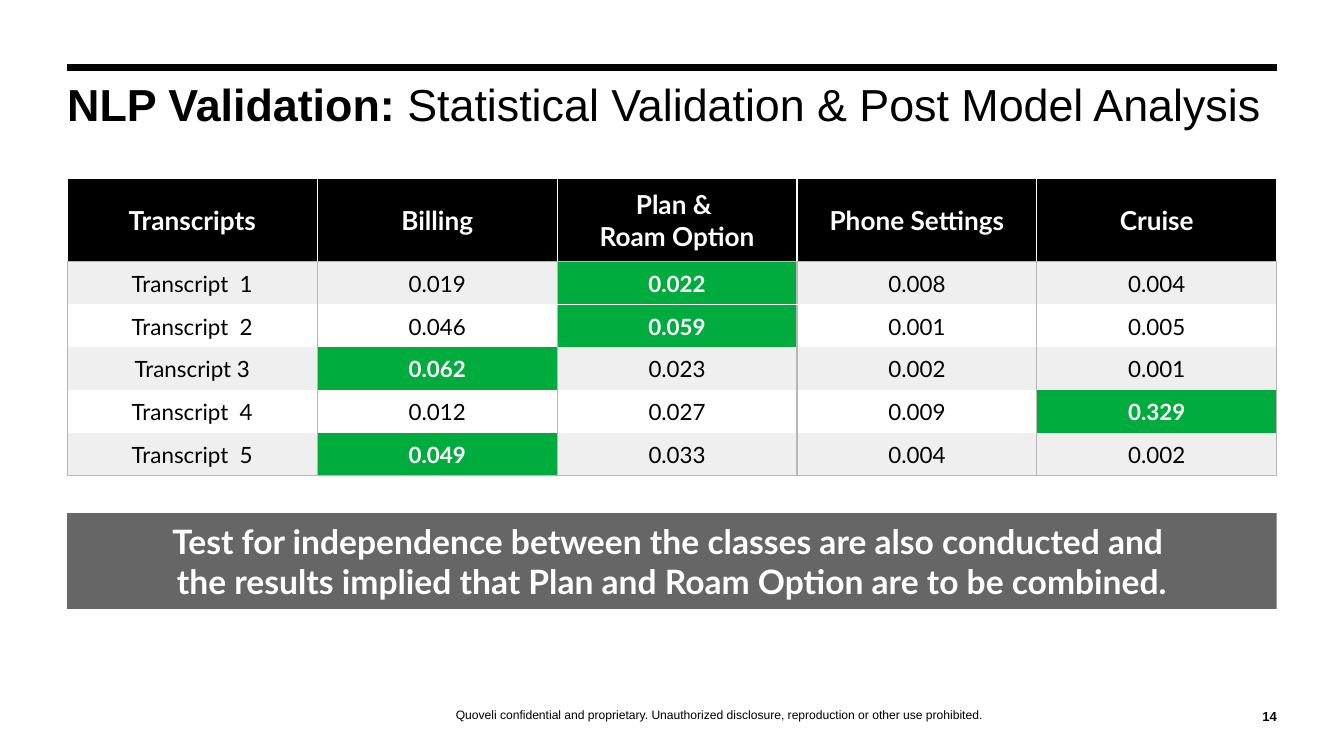
from dataclasses import dataclass
from typing import Optional

from lxml import etree
from pptx import Presentation
from pptx.dml.color import RGBColor
from pptx.enum.shapes import MSO_CONNECTOR, MSO_SHAPE
from pptx.enum.text import MSO_ANCHOR, PP_ALIGN
from pptx.oxml.ns import qn
from pptx.util import Pt

STRAIGHT, RECTANGLE = MSO_CONNECTOR.STRAIGHT, MSO_SHAPE.RECTANGLE
LEFT, CENTER, RIGHT = PP_ALIGN.LEFT, PP_ALIGN.CENTER, PP_ALIGN.RIGHT
TOP, MIDDLE, BOTTOM = MSO_ANCHOR.TOP, MSO_ANCHOR.MIDDLE, MSO_ANCHOR.BOTTOM
BLACK, WHITE, GREEN = "000000", "FFFFFF", "00AC3E"
BAND, BORDER, DARK_GRAY = "EFEFEF", "B7B7B7", "666666"
MARGIN, CONTENT_WIDTH = 36, 648
FIRST_COLUMN, COLUMN = 134, 128.5
HEADER_HEIGHT, ROW_HEIGHT = 44.5, 23

HEADERS = ["Transcripts", "Billing", "Plan & \nRoam Option", "Phone Settings", "Cruise"]


@dataclass
class Span:
    text: str
    size: float
    bold: bool = False
    color: str = BLACK
    font: str = "Arial"


@dataclass
class Label:
    left: float
    top: float
    width: float
    height: float
    spans: list[Span]
    align: PP_ALIGN = LEFT
    anchor: MSO_ANCHOR = BOTTOM
    spacing: float = 1


@dataclass
class Transcript:
    name: str
    scores: list[str]
    best: int


TRANSCRIPTS = [
    Transcript("Transcript  1", ["0.019", "0.022", "0.008", "0.004"], 2),
    Transcript("Transcript  2", ["0.046", "0.059", "0.001", "0.005"], 2),
    Transcript("Transcript 3", ["0.062", "0.023", "0.002", "0.001"], 1),
    Transcript("Transcript  4", ["0.012", "0.027", "0.009", "0.329"], 4),
    Transcript("Transcript  5", ["0.049", "0.033", "0.004", "0.002"], 1),
]

LABELS = [
    Label(105, 363, 561, 23.5, [Span(
        "Quoveli confidential and proprietary. Unauthorized disclosure, "
        "reproduction or other use prohibited.", 6.5)], CENTER, spacing=1.14),
    Label(MARGIN, 46.5, CONTENT_WIDTH, 29, [
        Span("NLP Validation: ", 24, True),
        Span("Statistical Validation & Post Model Analysis", 24)], anchor=TOP, spacing=0.8),
    Label(666, 370, 18, 18, [Span("14", 7, True)], RIGHT),
]


def rgb(color: str) -> RGBColor:
    return RGBColor.from_string(color)


def add_span(para, span: Span) -> None:
    run = para.add_run()
    run.text = span.text
    run.font.name, run.font.size, run.font.bold = span.font, Pt(span.size), span.bold
    run.font.color.rgb = rgb(span.color)


def set_margins(holder, side: float, top: float, bottom: float) -> None:
    holder.margin_left = holder.margin_right = Pt(side)
    holder.margin_top, holder.margin_bottom = Pt(top), Pt(bottom)


def add_label(page, label: Label) -> None:
    box = page.shapes.add_textbox(Pt(label.left), Pt(label.top), Pt(label.width), Pt(label.height))
    frame = box.text_frame
    frame.word_wrap = True
    frame.vertical_anchor = label.anchor
    set_margins(frame, 0, 0, 0)
    para = frame.paragraphs[0]
    para.alignment, para.line_spacing = label.align, label.spacing
    for span in label.spans:
        add_span(para, span)


def add_rule(page) -> None:
    rule = page.shapes.add_connector(
        STRAIGHT, Pt(MARGIN), Pt(36), Pt(MARGIN + CONTENT_WIDTH), Pt(36))
    rule.line.color.rgb = rgb(BLACK)
    rule.line.width = Pt(3.75)
    etree.SubElement(rule._element.spPr, qn("a:effectLst"))


def set_borders(cell, side: str, top: Optional[str], bottom: Optional[str]) -> None:
    """Draw the four cell edges; None leaves an edge without a line."""
    properties = cell._tc.get_or_add_tcPr()
    edges = {"lnL": side, "lnR": side, "lnT": top, "lnB": bottom}
    for index, (tag, color) in enumerate(edges.items()):
        line = etree.Element(qn(f"a:{tag}"), w=str(Pt(0.75)))
        if color:
            fill = etree.SubElement(line, qn("a:solidFill"))
            etree.SubElement(fill, qn("a:srgbClr"), val=color)
        else:
            etree.SubElement(line, qn("a:noFill"))
        properties.insert(index, line)


def fill_cell(cell, span: Span, fill: str, side_margin: float) -> None:
    cell.fill.solid()
    cell.fill.fore_color.rgb = rgb(fill)
    cell.vertical_anchor = MIDDLE
    set_margins(cell, side_margin, 0.7, 0)
    for index, text in enumerate(span.text.split("\n")):
        para = cell.text_frame.add_paragraph() if index else cell.text_frame.paragraphs[0]
        para.alignment = CENTER
        add_span(para, Span(text, span.size, span.bold, span.color, span.font))


def add_score_table(page) -> None:
    height = HEADER_HEIGHT + ROW_HEIGHT * len(TRANSCRIPTS)
    table = page.shapes.add_table(
        len(TRANSCRIPTS) + 1, len(HEADERS),
        Pt(MARGIN), Pt(95.5), Pt(CONTENT_WIDTH), Pt(height)).table
    table.horz_banding = False
    for index, column in enumerate(table.columns):
        column.width = Pt(COLUMN if index else FIRST_COLUMN)
    for index, row in enumerate(table.rows):
        row.height = Pt(ROW_HEIGHT if index else HEADER_HEIGHT)

    for column, header in enumerate(HEADERS):
        cell = table.cell(0, column)
        fill_cell(cell, Span(header, 14, True, WHITE, "Lato"), BLACK, 2)
        set_borders(cell, WHITE, WHITE, BORDER)

    last = len(TRANSCRIPTS)
    for row, transcript in enumerate(TRANSCRIPTS, 1):
        for column, text in enumerate([transcript.name, *transcript.scores]):
            cell = table.cell(row, column)
            best = column == transcript.best
            fill = GREEN if best else BAND if row % 2 else WHITE
            fill_cell(cell, Span(text, 12, best, WHITE if best else BLACK, "Lato"), fill, 0.7)
            joins_above = best and row > 1 and TRANSCRIPTS[row - 2].best == column
            joins_below = best and row < last and TRANSCRIPTS[row].best == column
            top = BORDER if row == 1 else WHITE if joins_above else None
            bottom = BORDER if row == last else WHITE if joins_below else None
            set_borders(cell, BORDER, top, bottom)


def add_conclusion(page) -> None:
    banner = page.shapes.add_shape(RECTANGLE, Pt(MARGIN), Pt(275), Pt(CONTENT_WIDTH), Pt(51.25))
    banner.shadow.inherit = False
    banner.fill.solid()
    banner.fill.fore_color.rgb = rgb(DARK_GRAY)
    banner.line.fill.background()
    frame = banner.text_frame
    frame.word_wrap = True
    frame.vertical_anchor = MIDDLE
    set_margins(frame, 0, 3.6, 3.6)
    para = frame.paragraphs[0]
    para.alignment, para.space_after = CENTER, Pt(6)
    add_span(para, Span("Test for independence between the classes are also conducted and ",
                        18, True, WHITE, "Lato"))
    para.add_line_break()
    add_span(para, Span("the results implied that Plan and Roam Option are to be combined.",
                        18, True, WHITE, "Lato"))


def main() -> None:
    deck = Presentation()
    deck.slide_width, deck.slide_height = Pt(720), Pt(405)
    page = deck.slides.add_slide(deck.slide_layouts[6])
    add_rule(page)
    for label in LABELS:
        add_label(page, label)
    add_score_table(page)
    add_conclusion(page)
    deck.save("out.pptx")


if __name__ == "__main__":
    main()
